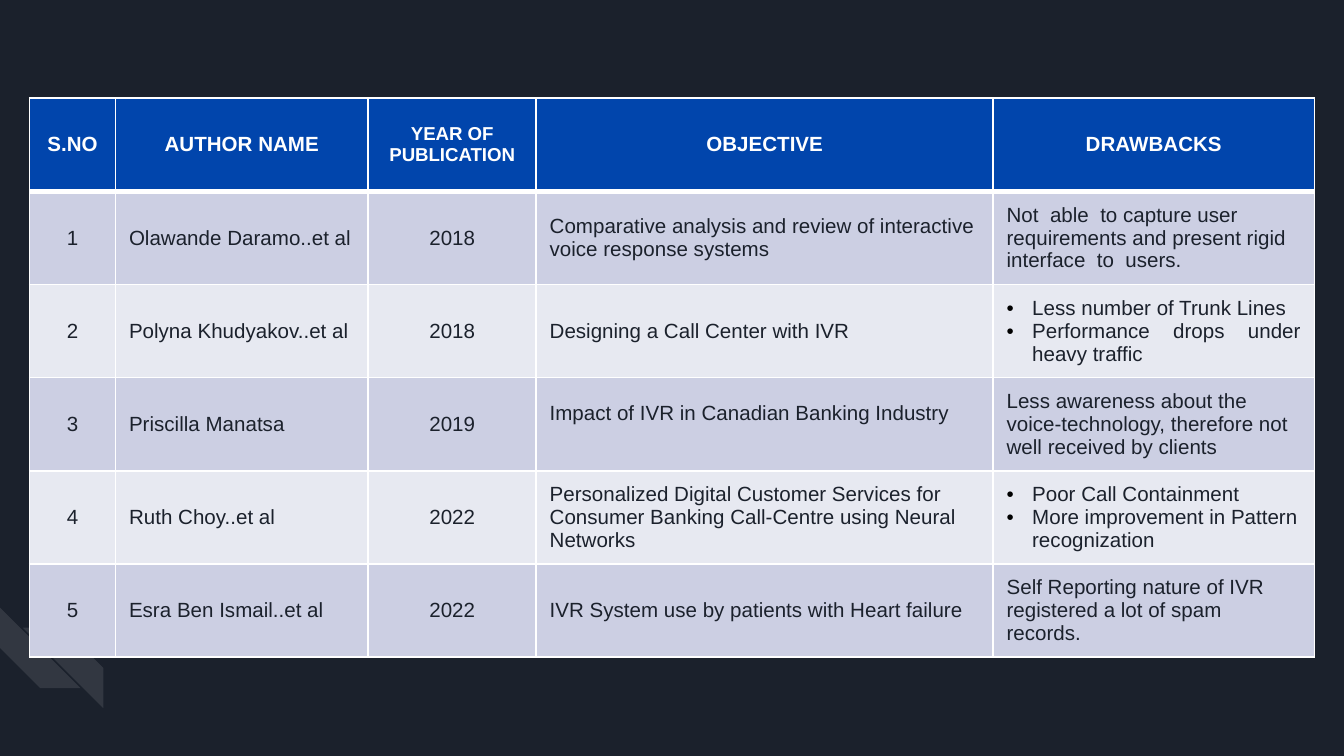
"""Build the literature survey slide with its table of IVR papers."""
import lxml.etree
import pptx
import pptx.dml.color
import pptx.enum.shapes
import pptx.enum.text
import pptx.oxml.ns
import pptx.util

Inches = pptx.util.Inches
ALIGN = pptx.enum.text.PP_ALIGN
COLORS = {
    "background": "1B212C",
    "ink": "1B212C",
    "white": "FFFFFF",
    "header": "0145AC",
    "odd": "CCCFE3",
    "even": "E7E9F1",
    "bullet": "000000",
}
SLIDE_WIDTH = 10
COLUMN_WIDTHS = [0.64, 1.88, 1.25, 3.4, 2.39]
TABLE_HEIGHT = 4.16
CENTERED_COLUMNS = (0, 2)
HEADINGS = ["S.NO", "AUTHOR NAME", "YEAR OF PUBLICATION", "OBJECTIVE", "DRAWBACKS"]
PAPERS = [
    ("Olawande Daramo..et al", "2018",
     "Comparative analysis and review of interactive voice response systems",
     "Not  able  to capture user requirements and present rigid  interface  to  users."),
    ("Polyna Khudyakov..et al", "2018", "Designing a Call Center with IVR",
     ["Less number of Trunk Lines", "Performance drops under heavy traffic"]),
    ("Priscilla Manatsa", "2019", "Impact of IVR in Canadian Banking Industry",
     "Less awareness about the voice-technology, therefore not well received by clients"),
    ("Ruth Choy..et al", "2022",
     "Personalized Digital Customer Services for Consumer Banking Call-Centre using Neural Networks",
     ["Poor Call Containment", "More improvement in Pattern recognization"]),
    ("Esra Ben Ismail..et al", "2022", "IVR System use by patients with Heart failure",
     "Self Reporting nature of IVR registered a lot of spam records."),
]


def rgb(name):
    """Return the named colour as an RGBColor."""
    return pptx.dml.color.RGBColor.from_string(COLORS[name])


def add_xml(parent, tag, **attributes):
    """Append a DrawingML child element and return it."""
    child = lxml.etree.SubElement(parent, pptx.oxml.ns.qn(f"a:{tag}"))
    for key, value in attributes.items():
        child.set(key, str(value))
    return child


def write(frame, text, size=11, color="ink", bold=False, align=ALIGN.LEFT, font="Arial"):
    """Write a string, or a list of strings as bullets, into a text frame."""
    bulleted = isinstance(text, list)
    for index, line in enumerate(text if bulleted else [text]):
        paragraph = frame.add_paragraph() if index else frame.paragraphs[0]
        paragraph.alignment = align
        run = paragraph.add_run()
        run.text = line
        run.font.size = pptx.util.Pt(size)
        run.font.name = font
        run.font.bold = bold
        run.font.color.rgb = rgb(color)
        if bulleted:
            properties = paragraph._p.get_or_add_pPr()
            properties.set("marL", str(Inches(0.19)))
            properties.set("indent", str(Inches(-0.19)))
            add_xml(add_xml(properties, "buClr"), "srgbClr", val=COLORS["bullet"])
            add_xml(properties, "buFont", typeface=font)
            add_xml(properties, "buChar", char="•")


class SurveySlide:
    """Hold the presentation style and the current slide."""

    def __init__(self):
        """Start a widescreen presentation with one dark slide."""
        self.deck = pptx.Presentation()
        self.deck.slide_width = Inches(SLIDE_WIDTH)
        self.deck.slide_height = Inches(SLIDE_WIDTH * 9 / 16)
        self.slide = self.deck.slides.add_slide(self.deck.slide_layouts[6])
        background = self.slide.background.fill
        background.solid()
        background.fore_color.rgb = rgb("background")

    def add_stripe(self, left, top, rotation=0, flipped=False):
        """Add a translucent diagonal stripe."""
        stripe = self.slide.shapes.add_shape(
            pptx.enum.shapes.MSO_SHAPE.DIAGONAL_STRIPE,
            Inches(left), Inches(top), Inches(0.6), Inches(0.6))
        stripe.shadow.inherit = False
        stripe.rotation = rotation
        if flipped:
            stripe.element.spPr.xfrm.set("flipH", "1")
        stripe.fill.solid()
        stripe.fill.fore_color.rgb = rgb("white")
        tint = stripe.element.spPr.find(".//" + pptx.oxml.ns.qn("a:srgbClr"))
        add_xml(tint, "alpha", val=10000)
        stripe.line.fill.background()

    def add_table(self, rows, left, top):
        """Add an empty table with equal rows and the set column widths."""
        table = self.slide.shapes.add_table(
            rows, len(COLUMN_WIDTHS), Inches(left), Inches(top),
            Inches(sum(COLUMN_WIDTHS)), Inches(TABLE_HEIGHT)).table
        for column, width in zip(table.columns, COLUMN_WIDTHS):
            column.width = Inches(width)
        return table

    def fill_cell(self, cell, text, fill, thick_side=None, **text_format):
        """Give a cell its borders, fill and text."""
        properties = cell._tc.get_or_add_tcPr()
        for side in "LRTB":
            points = 3 if side == thick_side else 1
            border = add_xml(properties, f"ln{side}", w=pptx.util.Pt(points))
            add_xml(add_xml(border, "solidFill"), "srgbClr", val=COLORS["white"])
        cell.fill.solid()
        cell.fill.fore_color.rgb = rgb(fill)
        cell.vertical_anchor = pptx.enum.text.MSO_ANCHOR.MIDDLE
        write(cell.text_frame, text, **text_format)


def main():
    """Build and save the slide."""
    survey = SurveySlide()
    survey.add_stripe(0, 4.52, rotation=270)
    survey.add_stripe(0.17, 4.67, flipped=True)
    papers_table = survey.add_table(len(PAPERS) + 1, 0.22, 0.73)
    for column, heading in enumerate(HEADINGS):
        survey.fill_cell(papers_table.cell(0, column), heading, "header", "B",
                         size=10 if column == 2 else 11, color="white",
                         bold=True, align=ALIGN.CENTER)
    for number, paper in enumerate(PAPERS, 1):
        for column, text in enumerate((str(number), *paper)):
            align = ALIGN.CENTER if column in CENTERED_COLUMNS else ALIGN.LEFT
            if number == 2 and column == 4:
                align = ALIGN.JUSTIFY
            survey.fill_cell(papers_table.cell(number, column), text,
                             "odd" if number % 2 else "even",
                             "T" if number == 1 else None, align=align)
    papers_table.cell(3, 3).margin_bottom = Inches(0.21)
    survey.deck.save("out.pptx")


if __name__ == "__main__":
    main()
